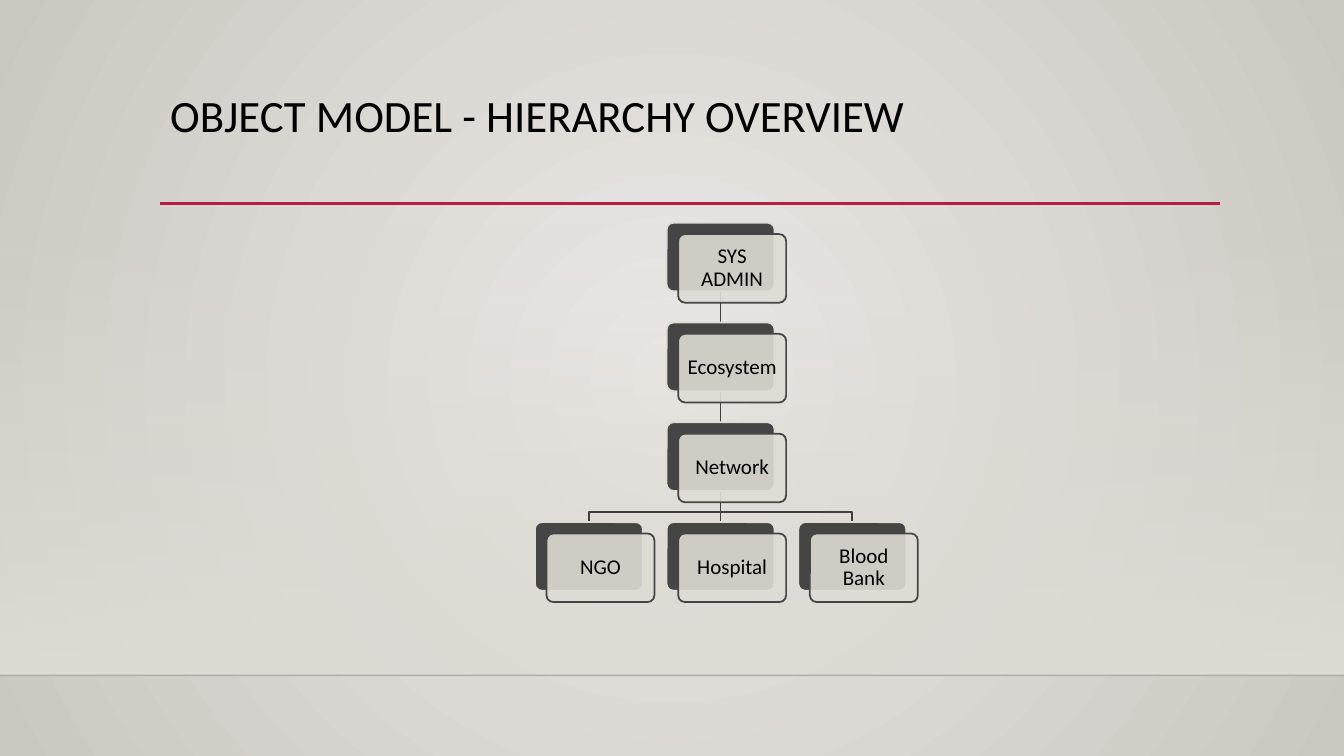
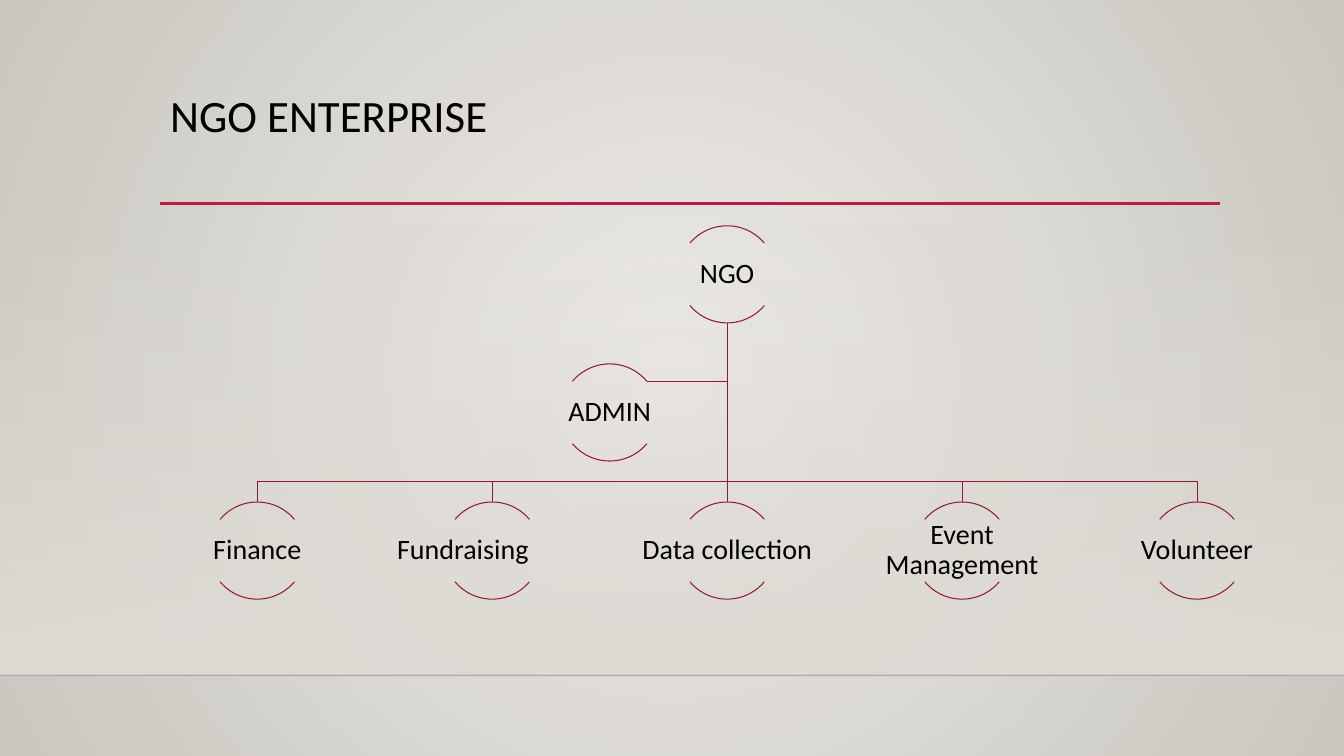
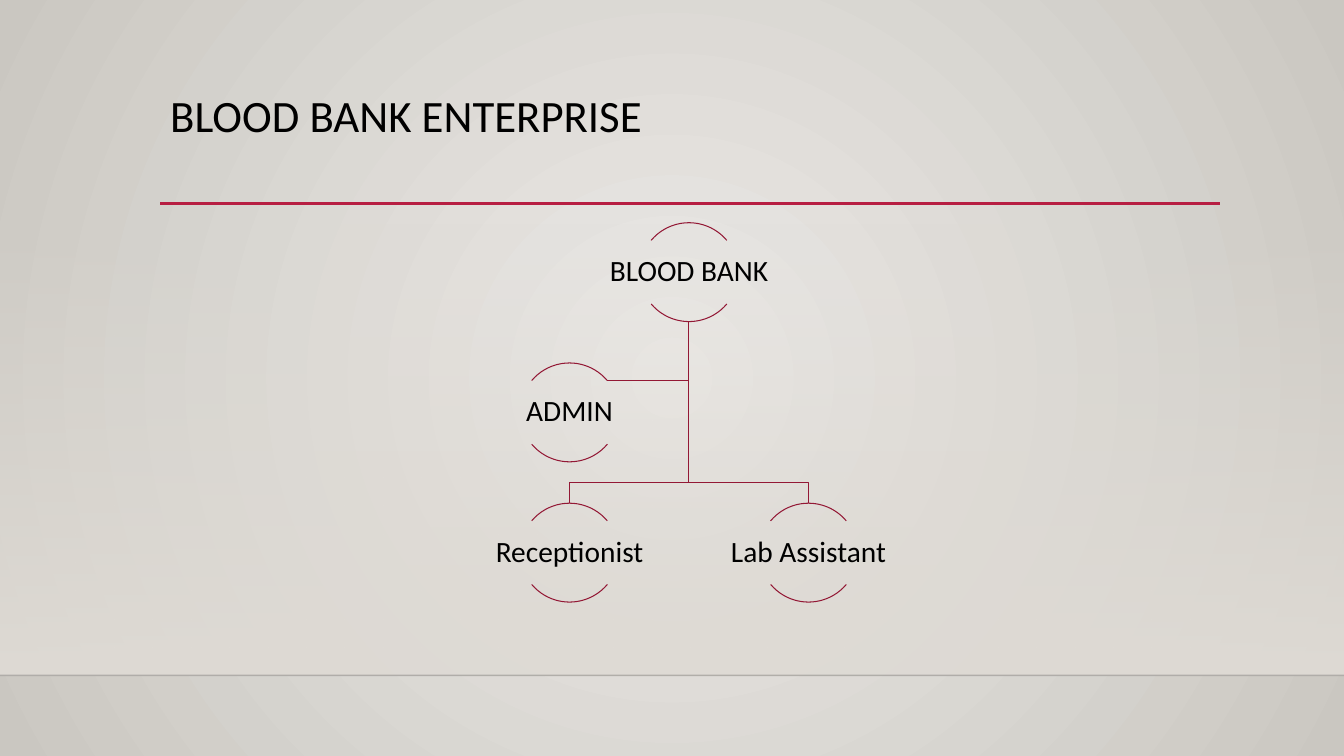
from dataclasses import dataclass
from typing import NamedTuple

from pptx import Presentation
from pptx.dml.color import RGBColor
from pptx.enum.shapes import MSO_CONNECTOR, MSO_SHAPE
from pptx.enum.text import MSO_ANCHOR, MSO_AUTO_SIZE, PP_ALIGN
from pptx.oxml.ns import qn
from pptx.oxml.xmlchemy import OxmlElement
from pptx.util import Inches, Pt

STRAIGHT = MSO_CONNECTOR.STRAIGHT
RECTANGLE, ROUNDED, ARC = MSO_SHAPE.RECTANGLE, MSO_SHAPE.ROUNDED_RECTANGLE, MSO_SHAPE.ARC
TOP, MIDDLE = MSO_ANCHOR.TOP, MSO_ANCHOR.MIDDLE
LEFT, CENTER = PP_ALIGN.LEFT, PP_ALIGN.CENTER
NO_AUTOFIT = MSO_AUTO_SIZE.NONE
SLIDE_W, SLIDE_H = Inches(13.33), Inches(7.5)
TITLE_ONLY = 5


@dataclass(frozen=True)
class Theme:
    font: str = "Calibri"
    ink: str = "000000"
    glow: str = "ECEAE7"
    edge: str = "CAC7C1"
    paper: str = "DFDBD5"
    floor: str = "000001"
    accent: str = "B71E42"
    arc: str = "931835"
    card: str = "454545"
    card_link: str = "3F3F3F"
    title_size: float = 32
    card_size: float = 15
    ngo_size: float = 20
    bank_size: float = 21
    rule_width: float = 2.5
    card_width: float = 1.25
    arc_width: float = 0.75
    floor_width: float = 1


THEME = Theme()


class Box(NamedTuple):
    left: int
    top: int
    width: int
    height: int

    @property
    def middle(self) -> int:
        return self.left + self.width // 2

    @property
    def bottom(self) -> int:
        return self.top + self.height


class Role(NamedTuple):
    text: str
    column: float
    row: float
    right_inset: float = 1


def across(percent: float) -> int:
    return round(SLIDE_W * percent / 100)


def down(percent: float) -> int:
    return round(SLIDE_H * percent / 100)


@dataclass(frozen=True)
class Grid:
    left: float
    top: float
    column: float
    row: float
    width: float
    height: float
    drop: float

    def cell(self, role: Role) -> Box:
        return Box(across(self.left + role.column * self.column),
                   down(self.top + role.row * self.row),
                   across(self.width), down(self.height))


def rgb(color: str) -> RGBColor:
    return RGBColor.from_string(color)


def set_alpha(color_parent, percent: float) -> None:
    alpha = OxmlElement("a:alpha")
    alpha.set("val", str(round(percent * 1000)))
    color_parent.find(".//" + qn("a:srgbClr")).append(alpha)


def set_gradient(fill, start: str, end: str) -> None:
    fill.gradient()
    for stop, color in zip(fill.gradient_stops, (start, end)):
        stop.color.rgb = rgb(color)


def set_line(shape, color: str, width: float) -> None:
    shape.line.color.rgb = rgb(color)
    shape.line.width = Pt(width)


def add_line(slide, start: tuple, end: tuple, color: str, width: float):
    line = slide.shapes.add_connector(STRAIGHT, *start, *end)
    set_line(line, color, width)
    line.element.spPr.append(OxmlElement("a:effectLst"))
    return line


def add_preset(slide, kind, box: Box, color: str, width: float, fill: str = ""):
    shape = slide.shapes.add_shape(kind, *box)
    shape.shadow.inherit = False
    if fill:
        shape.fill.solid()
        shape.fill.fore_color.rgb = rgb(fill)
    else:
        shape.fill.background()
    set_line(shape, color, width)
    return shape


def write_text(shape, text: str, *, size: float, align=CENTER, anchor=MIDDLE,
               insets: tuple = (1, 1, 1, 1)) -> None:
    frame = shape.text_frame
    frame.word_wrap = True
    frame.auto_size = NO_AUTOFIT
    frame.vertical_anchor = anchor
    (frame.margin_left, frame.margin_top,
     frame.margin_right, frame.margin_bottom) = map(Pt, insets)
    paragraph = frame.paragraphs[0]
    paragraph.alignment = align
    paragraph.line_spacing = 0.9
    run = paragraph.add_run()
    run.text = text
    run.font.name = THEME.font
    run.font.size = Pt(size)
    run.font.color.rgb = rgb(THEME.ink)


def style_layout(layout, slide) -> None:
    set_gradient(layout.background.fill, THEME.glow, THEME.edge)
    gradient = layout.element.find(".//" + qn("a:gradFill"))
    gradient.remove(gradient.find(qn("a:lin")))
    radial = OxmlElement("a:path")
    radial.set("path", "circle")
    focus = OxmlElement("a:fillToRect")
    for side in "ltrb":
        focus.set(side, "50000")
    radial.append(focus)
    gradient.append(radial)

    for placeholder in list(layout.placeholders):
        if placeholder.placeholder_format.idx:
            placeholder.element.getparent().remove(placeholder.element)

    wall = slide.shapes.add_shape(RECTANGLE, 0, down(29.47), SLIDE_W, down(59.87))
    wall.shadow.inherit = False
    wall.line.fill.background()
    set_gradient(wall.fill, THEME.paper, THEME.paper)
    wall.fill.gradient_angle = 270
    set_alpha(wall.element.find(".//" + qn("a:gs")), 0)
    floor = add_line(slide, (0, down(89.33)), (SLIDE_W, down(89.33)),
                     THEME.floor, THEME.floor_width)
    set_alpha(floor.element.spPr, 20)
    rule = add_line(slide, (across(11.91), down(26.93)), (across(90.75), down(26.93)),
                    THEME.accent, THEME.rule_width)
    for part in (wall, floor, rule):
        layout.shapes.element.append(part.element)


def add_title(slide, text: str) -> None:
    title = slide.shapes.title
    title.left, title.top = across(11.91), down(11.73)
    title.width, title.height = across(78.75), down(15.33)
    write_text(title, text, size=THEME.title_size, align=LEFT, anchor=TOP,
               insets=(7.2, 3.6, 7.2, 3.6))


def add_outline(slide, points: list, color: str, width: float) -> None:
    builder = slide.shapes.build_freeform(*points[0])
    builder.add_line_segments(points[1:], close=False)
    outline = builder.convert_to_shape()
    outline.shadow.inherit = False
    outline.fill.background()
    set_line(outline, color, width)


def add_link(slide, grid: Grid, parent: Role, child: Role, color: str, width: float) -> None:
    above, below = grid.cell(parent), grid.cell(child)
    start, end = (above.middle, above.bottom), (below.middle, below.top)
    if parent.column == child.column:
        add_line(slide, start, end, color, width)
    else:
        bus = below.top - down(grid.drop)
        add_outline(slide, [start, (above.middle, bus), (below.middle, bus), end],
                    color, width)


def add_card(slide, grid: Grid, role: Role) -> None:
    back = grid.cell(role)
    front = back._replace(left=back.left + across(0.86), top=back.top + down(1.5))
    backing = add_preset(slide, ROUNDED, back, THEME.paper, THEME.card_width, THEME.card)
    face = add_preset(slide, ROUNDED, front, THEME.card, THEME.card_width, THEME.paper)
    for layer in (backing, face):
        layer.adjustments[0] = 0.1
    set_alpha(face.element.spPr.find(qn("a:solidFill")), 90)
    write_text(face, role.text, size=THEME.card_size, insets=(4.5,) * 4)


def add_arc_role(slide, grid: Grid, role: Role, size: float) -> None:
    circle = grid.cell(role)
    for start, end in ((132, 192), (24, 84)):
        arc = add_preset(slide, ARC, circle, THEME.arc, THEME.arc_width)
        arc.adjustments[0], arc.adjustments[1] = start, end
    label = slide.shapes.add_textbox(circle.left - circle.width // 2,
                                     circle.top + round(circle.height * 0.18),
                                     circle.width * 2, round(circle.height * 0.64))
    write_text(label, role.text, size=size, insets=(1, 1, role.right_inset, 1))


def draw_hierarchy(slide, grid: Grid, chain: list[Role], leaves: list[Role]) -> None:
    links = list(zip(chain, chain[1:])) + [(chain[-1], leaf) for leaf in leaves]
    for parent, child in links:
        add_link(slide, grid, parent, child, THEME.card_link, THEME.card_width)
    for role in chain + leaves:
        add_card(slide, grid, role)


def draw_enterprise(slide, grid: Grid, head: Role, admin: Role, staff: list[Role],
                    size: float) -> None:
    trunk, aide = grid.cell(head), grid.cell(admin)
    elbow = aide.top + round(aide.height * 0.18)
    add_outline(slide, [(trunk.middle, trunk.bottom), (trunk.middle, elbow),
                        (aide.middle + round(aide.width * 0.38), elbow)],
                THEME.arc, THEME.arc_width)
    for member in staff:
        add_link(slide, grid, head, member, THEME.arc, THEME.arc_width)
    for role in [head, *staff, admin]:
        add_arc_role(slide, grid, role, size)


deck = Presentation()
deck.slide_width, deck.slide_height = SLIDE_W, SLIDE_H
layout = deck.slide_layouts[TITLE_ONLY]
overview, ngo, bank = (deck.slides.add_slide(layout) for _ in range(3))
style_layout(layout, overview)

add_title(overview, "OBJECT MODEL - HIERARCHY OVERVIEW")
draw_hierarchy(
    overview,
    Grid(left=39.8, top=29.47, column=9.8, row=13.2, width=8.03, height=9.07, drop=1.37),
    [Role(text, 1, row) for row, text in enumerate(("SYS ADMIN", "Ecosystem", "Network"))],
    [Role(text, column, 3) for column, text in enumerate(("NGO", "Hospital", "Blood Bank"))],
)

add_title(ngo, "NGO ENTERPRISE")
draw_enterprise(
    ngo,
    Grid(left=15.53, top=29.87, column=17.48, row=18.27, width=7.23, height=12.85, drop=2.75),
    Role("NGO", 2, 0),
    Role("ADMIN", 1.5, 1),
    [Role("Finance", 0, 2), Role("Fundraising", 1, 2, right_inset=43),
     Role("Data collection", 2, 2), Role("Event Management", 3, 2),
     Role("Volunteer", 4, 2)],
    THEME.ngo_size,
)

add_title(bank, "BLOOD BANK ENTERPRISE")
draw_enterprise(
    bank,
    Grid(left=38.7, top=29.47, column=17.78, row=18.55, width=7.35, height=13.07, drop=2.75),
    Role("BLOOD BANK", 0.5, 0),
    Role("ADMIN", 0, 1),
    [Role("Receptionist", 0, 2), Role("Lab Assistant", 1, 2)],
    THEME.bank_size,
)

deck.save("out.pptx")
